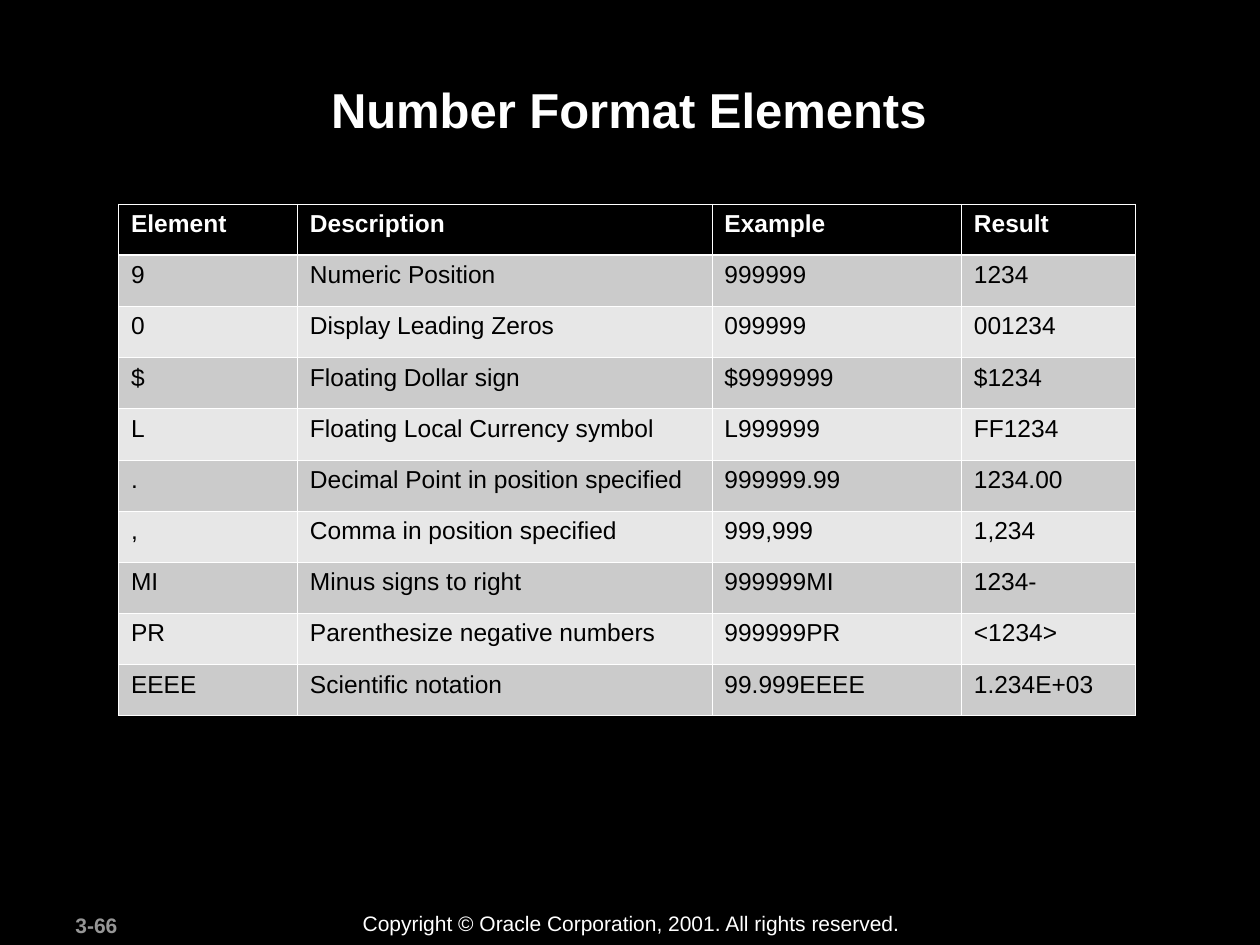
"""Build a slide with a table of number format elements."""
from lxml import etree
from pptx import Presentation
from pptx import util as u
from pptx.dml.color import RGBColor
from pptx.enum import text
from pptx.oxml import ns

HUE = {"black": "000000", "white": "FFFFFF", "gray": "969696",
       "dark": "CBCBCB", "light": "E7E7E7"}
ROWS = [
    ("Element", "Description", "Example", "Result"),
    ("9", "Numeric Position", "999999", "1234"),
    ("0", "Display Leading Zeros", "099999", "001234"),
    ("$", "Floating Dollar sign", "$9999999", "$1234"),
    ("L", "Floating Local Currency symbol", "L999999", "FF1234"),
    (".", "Decimal Point in position specified", "999999.99", "1234.00"),
    (",", "Comma in position specified", "999,999", "1,234"),
    ("MI", "Minus signs to right", "999999MI", "1234-"),
    ("PR", "Parenthesize negative numbers", "999999PR", "<1234>"),
    ("EEEE", "Scientific notation", "99.999EEEE", "1.234E+03"),
]
COLS = [1.42, 3.29, 1.98, 1.38]
HIGH = 4.06 / len(ROWS)
LEFT = 0.94


def write(frame, words, size, hue, bold=False):
    run = frame.paragraphs[0].add_run()
    run.text = words
    run.font.name = "Arial"
    run.font.size = u.Pt(size)
    run.font.bold = bold
    run.font.color.rgb = RGBColor.from_string(HUE[hue])


def edge(cell, side, width):
    props = cell._tc.get_or_add_tcPr()
    line = etree.SubElement(props, ns.qn("a:ln" + side), w=str(u.Pt(width)))
    fill = etree.SubElement(line, ns.qn("a:solidFill"))
    etree.SubElement(fill, ns.qn("a:srgbClr"), val=HUE["white"])


deck = Presentation()
deck.slide_width, deck.slide_height = u.Inches(10), u.Inches(7.5)
slide = deck.slides.add_slide(deck.slide_layouts[5])
slide.background.fill.solid()
slide.background.fill.fore_color.rgb = RGBColor.from_string(HUE["black"])

title = slide.shapes.title
title.left, title.top = u.Inches(LEFT), u.Inches(0.58)
title.width, title.height = u.Inches(8.1), u.Inches(0.96)
frame = title.text_frame
frame.auto_size = text.MSO_AUTO_SIZE.NONE
frame.vertical_anchor = text.MSO_ANCHOR.TOP
frame.paragraphs[0].alignment = text.PP_ALIGN.CENTER
write(frame, "Number Format Elements", 28, "white", True)

for left, top, width, words, hue, bold in [
    (0.5, 7.19, 1.05, "3-66", "gray", True),
    (2.78, 7.18, 4.48, "Copyright © Oracle Corporation, 2001. All rights reserved.",
     "white", False),
]:
    box = slide.shapes.add_textbox(*map(u.Inches, (left, top, width, 0.3)))
    box.text_frame.word_wrap = False
    write(box.text_frame, words, 12, hue, bold)

grid = slide.shapes.add_table(
    len(ROWS), len(COLS), u.Inches(LEFT), u.Inches(1.62),
    u.Inches(sum(COLS)), u.Inches(HIGH * len(ROWS))).table
for col, width in zip(grid.columns, COLS):
    col.width = u.Inches(width)
for r, row in enumerate(ROWS):
    grid.rows[r].height = u.Inches(HIGH)
    head = r == 0
    shade = "black" if head else "dark" if r % 2 else "light"
    for c, words in enumerate(row):
        cell = grid.cell(r, c)
        for side in "LRTB":
            thick = (r, side) in [(0, "B"), (1, "T")]
            edge(cell, side, 1.47 if thick else 0.45)
        cell.fill.solid()
        cell.fill.fore_color.rgb = RGBColor.from_string(HUE[shade])
        write(cell.text_frame, words, 14, "white" if head else "black", head)

deck.save("out.pptx")
